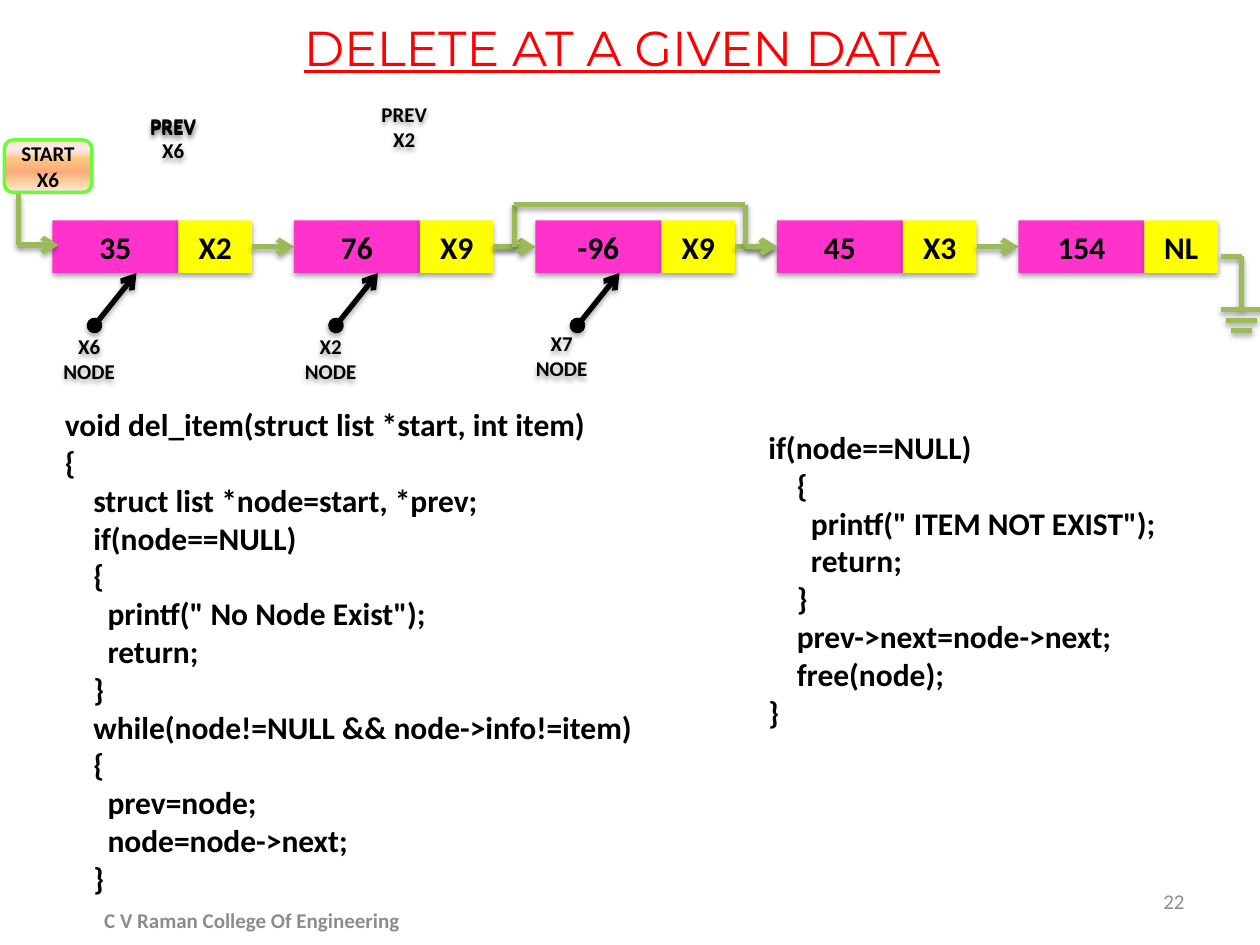
from itertools import pairwise
from pptx import Presentation
from pptx.dml.color import RGBColor
from pptx.enum.shapes import MSO_CONNECTOR as Connector, MSO_SHAPE as Preset
from pptx.enum.text import MSO_ANCHOR as Anchor, PP_ALIGN as Align
from pptx.oxml import parse_xml
from pptx.oxml.ns import nsdecls, qn
from pptx.util import Pt

BLACK, GREEN, GREY = "000000", "9BBB59", "8C8C8C"
PINK, YELLOW, RED, LIME = "FF33CC", "FFFF00", "FF0000", "66FF33"
START_STOPS = [(0, "FBEAC7"), (18, "FEE7F2"), (36, "FAC77D"),
               (61, "FBA97D"), (82, "FBD49C"), (100, "FEE7F2")]
NODES = [("35", "X2"), ("76", "X9"), ("-96", "X9"), ("45", "X3"), ("154", "NL")]
NODE_STEP, DATA_WIDTH, LINK_WIDTH, NODE_HEIGHT = 138, 72, 42, 30
LABEL_WIDTH, LABEL_HEIGHT = 66, 37.5

DELETE_CODE = """void del_item(struct list *start, int item)
{
    struct list *node=start, *prev;
    if(node==NULL)
    {
      printf(" No Node Exist");
      return;
    }
    while(node!=NULL && node->info!=item)
    {
      prev=node;
      node=node->next;
    }"""

UNLINK_CODE = """if(node==NULL)
    {
      printf(" ITEM NOT EXIST");
      return;
    }
    prev->next=node->next;
    free(node);
}"""


def color(value):
    return RGBColor.from_string(value)


def add_shadow(properties):
    effects = properties.find(qn("a:effectLst"))
    if effects is None:
        effects = parse_xml(f"<a:effectLst {nsdecls('a')}/>")
        properties.append(effects)
    effects.append(parse_xml(
        f'<a:outerShdw {nsdecls("a")} blurRad="{Pt(3.1)}" dist="{Pt(1.8)}" dir="5400000" '
        'rotWithShape="0"><a:srgbClr val="000000"><a:alpha val="35000"/></a:srgbClr></a:outerShdw>'))


def write(shape, text, size, ink=BLACK, bold=True, align=Align.CENTER,
          anchor=Anchor.MIDDLE, font="Calibri", underline=None, wrap=True):
    frame = shape.text_frame
    frame.word_wrap = wrap
    frame.vertical_anchor = anchor
    for index, line in enumerate(text.split("\n")):
        para = frame.add_paragraph() if index else frame.paragraphs[0]
        para.alignment = align
        span = para.add_run()
        span.text = line
        span.font.name = font
        span.font.size = Pt(size)
        span.font.bold = bold
        span.font.underline = underline
        span.font.color.rgb = color(ink)


def add_text(page, box, text, size, **style):
    write(page.shapes.add_textbox(*map(Pt, box)), text, size, **style)


def add_block(page, preset, box, text, size, fill=None, shadow=True):
    shape = page.shapes.add_shape(preset, *map(Pt, box))
    shape.shadow.inherit = False
    if fill:
        shape.fill.solid()
        shape.fill.fore_color.rgb = color(fill)
    else:
        shape.fill.background()
    shape.line.fill.background()
    if shadow:
        add_shadow(shape._element.spPr)
    write(shape, text, size)
    return shape


def add_route(page, points, ink=GREEN, head=None, tail=None):
    legs = list(pairwise(points))
    for index, (begin, end) in enumerate(legs):
        leg = page.shapes.add_connector(Connector.STRAIGHT, *map(Pt, begin + end))
        leg.line.width = Pt(3)
        leg.line.color.rgb = color(ink)
        outline = leg.line._get_or_add_ln()
        if head and index == 0:
            outline.append(parse_xml(f'<a:headEnd {nsdecls("a")} type="{head}"/>'))
        if tail and index == len(legs) - 1:
            outline.append(parse_xml(f'<a:tailEnd {nsdecls("a")} type="{tail}"/>'))
        add_shadow(leg._element.spPr)


def add_label(page, left, top, text):
    add_block(page, Preset.OVAL, (left, top, LABEL_WIDTH, LABEL_HEIGHT), text, 12)


def add_start(page, left, top, width, height):
    start = add_block(page, Preset.ROUNDED_RECTANGLE, (left, top, width, height),
                      "START\nX6", 12, shadow=False)
    start.fill.gradient()
    start.fill.gradient_angle = 270
    stops = start._element.spPr.find(qn("a:gradFill")).find(qn("a:gsLst"))
    for stop in list(stops):
        stops.remove(stop)
    for position, value in START_STOPS:
        stops.append(parse_xml(f'<a:gs {nsdecls("a")} pos="{position * 1000}">'
                               f'<a:srgbClr val="{value}"/></a:gs>'))
    start.line.color.rgb = color(LIME)
    start.line.width = Pt(2)
    bottom = top + height
    add_route(page, [(left + 8, bottom + 1), (left + 8, bottom + 30), (left + 31, bottom + 30)],
              tail="arrow")


def add_ground(page, left, top):
    middle = left + 12
    add_route(page, [(left, top), (middle, top), (middle, top + 30)])
    for row, half in enumerate((12, 9, 6)):
        height = top + 30.5 + 6 * row
        add_route(page, [(middle - half, height), (middle + half, height)])


def add_chain(page, left, top):
    middle = top + NODE_HEIGHT / 2
    bottom = top + NODE_HEIGHT
    for index, (data, link) in enumerate(NODES):
        node = left + index * NODE_STEP
        link_left = node + DATA_WIDTH
        link_right = link_left + LINK_WIDTH
        add_block(page, Preset.RECTANGLE, (node, top, DATA_WIDTH, NODE_HEIGHT), data, 18, PINK)
        add_block(page, Preset.RECTANGLE, (link_left, top, LINK_WIDTH, NODE_HEIGHT), link, 18, YELLOW)
        if index < len(NODES) - 1:
            add_route(page, [(link_right, middle), (node + NODE_STEP, middle)], tail="arrow")
    add_ground(page, link_right + 1.5, top + 20.5)

    skip_left = left + NODE_STEP + DATA_WIDTH + LINK_WIDTH
    skip_right = left + 3 * NODE_STEP
    rise = top - 9
    add_route(page, [(skip_left, middle), (skip_left + 12, middle), (skip_left + 12, rise),
                     (skip_right - 18, rise), (skip_right - 18, middle), (skip_right, middle)],
              tail="arrow")

    for index, (address, shift, drop) in enumerate([("X6", 0, 30), ("X2", 0, 30), ("X7", -6, 28.5)]):
        node = left + index * NODE_STEP
        add_label(page, node - 12 + shift, bottom + drop, f"{address}\nNODE")
        add_route(page, [(node + 24, bottom + 30), (node + 48, bottom)], BLACK, "oval", "arrow")


def add_previous(page, left, top):
    add_label(page, left, top, "PREV")
    add_label(page, left, top + 6, "PREV X6")
    add_label(page, left + 132, top - 0.5, "PREV X2")


def add_code(page, box, code):
    add_text(page, box, code, 18, align=Align.LEFT, anchor=Anchor.TOP)


def add_footer(page, left, top):
    add_text(page, (left + 468, top, 168, 28.75), "22", 12, ink=GREY, bold=False, align=Align.RIGHT)
    add_text(page, (left, top + 11, 192, 28.75), "C V Raman College Of Engineering", 12, ink=GREY)


def main():
    deck = Presentation()
    deck.slide_width, deck.slide_height = Pt(720), Pt(540)
    page = deck.slides.add_slide(deck.slide_layouts[6])
    add_text(page, (166.5, 6.5, 419, 41), "DELETE AT A GIVEN DATA", 28, ink=RED, bold=False,
             align=Align.LEFT, anchor=Anchor.TOP, font="Montserrat", underline=True, wrap=False)
    add_code(page, (30, 228, 384, 291), DELETE_CODE)
    add_code(page, (432, 241, 282, 181.5), UNLINK_CODE)
    add_chain(page, 30, 126)
    add_start(page, 2.5, 80, 50, 30)
    add_previous(page, 66, 54)
    add_footer(page, 48, 500.5)
    deck.save("out.pptx")


if __name__ == "__main__":
    main()
